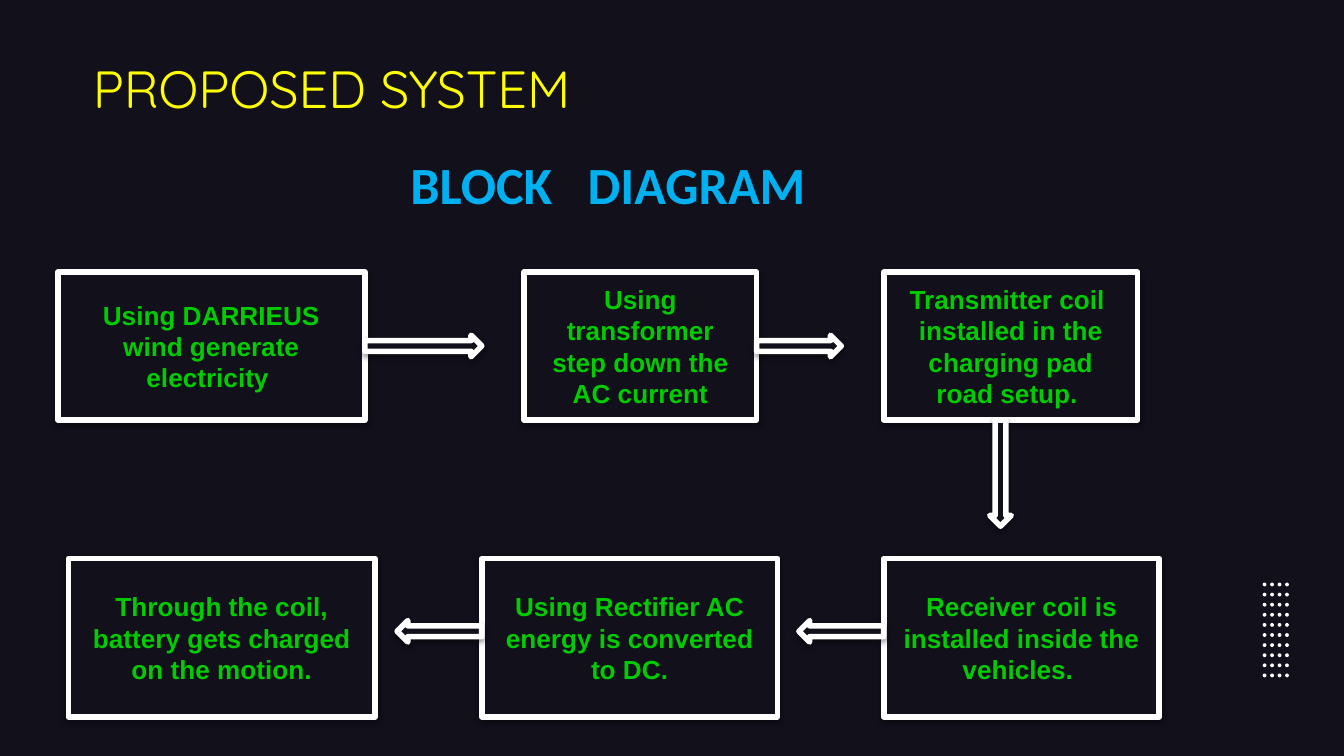
from dataclasses import dataclass
from itertools import product

from lxml import etree
from pptx import Presentation
from pptx.dml.color import RGBColor
from pptx.enum.shapes import MSO_SHAPE
from pptx.enum.text import MSO_ANCHOR, MSO_AUTO_SIZE, PP_ALIGN
from pptx.oxml.ns import qn
from pptx.util import Inches, Pt

RECTANGLE = MSO_SHAPE.RECTANGLE
OVAL = MSO_SHAPE.OVAL
RIGHT_ARROW = MSO_SHAPE.RIGHT_ARROW
LEFT_ARROW = MSO_SHAPE.LEFT_ARROW
DOWN_ARROW = MSO_SHAPE.DOWN_ARROW
TOP = MSO_ANCHOR.TOP
MIDDLE = MSO_ANCHOR.MIDDLE
LEFT = PP_ALIGN.LEFT
CENTER = PP_ALIGN.CENTER
NO_AUTOFIT = MSO_AUTO_SIZE.NONE

COLORS = {
    "background": "11101B",
    "title": "FFFF00",
    "heading": "00B0F0",
    "step": "00CC00",
    "outline": "FFFFFF",
    "shadow": "000000",
}
SLIDE_WIDTH = Inches(10)
SLIDE_HEIGHT = SLIDE_WIDTH * 9 // 16
GRID_COLUMNS = 100
CELL = SLIDE_WIDTH / GRID_COLUMNS
ARROW_THICKNESS = 1.6
TITLE_ONLY = 5


@dataclass
class Box:
    left: float
    top: float
    width: float
    height: float

    def lengths(self):
        return [round(n * CELL) for n in (self.left, self.top, self.width, self.height)]


def color(name):
    return RGBColor.from_string(COLORS[name])


def add_run(paragraph, text, font_name, size, color_name, bold=False):
    run = paragraph.add_run()
    run.text = text
    run.font.name = font_name
    run.font.size = Pt(size)
    run.font.bold = bold
    run.font.color.rgb = color(color_name)
    return run


def set_frame(frame, anchor):
    frame.word_wrap = True
    frame.auto_size = NO_AUTOFIT
    frame.vertical_anchor = anchor


def add_shadow(shape):
    shape.shadow.inherit = False
    effects = shape._element.spPr.find(qn("a:effectLst"))
    shadow = etree.SubElement(
        effects, qn("a:outerShdw"), blurRad=str(Pt(3.1)), dist=str(Pt(1.6)),
        dir="5400000", rotWithShape="0",
    )
    shade = etree.SubElement(shadow, qn("a:srgbClr"), val=COLORS["shadow"])
    etree.SubElement(shade, qn("a:alpha"), val="38000")


def add_outlined(slide, kind, box):
    shape = slide.shapes.add_shape(kind, *box.lengths())
    shape.fill.solid()
    shape.fill.fore_color.rgb = color("background")
    shape.line.color.rgb = color("outline")
    shape.line.width = Pt(3)
    add_shadow(shape)
    return shape


def add_title(slide, box):
    title = slide.shapes.title
    title.left, title.top, title.width, title.height = box.lengths()
    set_frame(title.text_frame, TOP)
    paragraph = title.text_frame.paragraphs[0]
    paragraph.alignment = LEFT
    add_run(paragraph, "PROPOSED SYSTEM", "Quicksand", 28, "title")


def add_heading(slide, box):
    frame = slide.shapes.add_textbox(*box.lengths()).text_frame
    set_frame(frame, TOP)
    for text, spacing in (("BLOCK", 0), (" ", 1260), ("DIAGRAM", 0)):
        run = add_run(frame.paragraphs[0], text, "Calibri", 28, "heading", True)
        run._r.get_or_add_rPr().set("spc", str(spacing))


def add_step(slide, box, *lines):
    frame = add_outlined(slide, RECTANGLE, box).text_frame
    set_frame(frame, MIDDLE)
    for index, line in enumerate(lines):
        paragraph = frame.add_paragraph() if index else frame.paragraphs[0]
        paragraph.alignment = CENTER
        add_run(paragraph, line, "Arial", 14, "step", True)


def add_arrow(slide, kind, box, length, share):
    across = box.left + share * box.width - ARROW_THICKNESS / 2
    down = box.top + share * box.height - ARROW_THICKNESS / 2
    places = {
        RIGHT_ARROW: (box.left + box.width, down, length, ARROW_THICKNESS),
        LEFT_ARROW: (box.left - length, down, length, ARROW_THICKNESS),
        DOWN_ARROW: (across, box.top + box.height, ARROW_THICKNESS, length),
    }
    add_outlined(slide, kind, Box(*places[kind]))


def add_block_diagram(slide, top, bottom):
    top_row = {"top": top, "height": 11}
    bottom_row = {"top": bottom, "height": 11.8}
    turbine = Box(left=4.3, width=22.85, **top_row)
    transformer = Box(left=39, width=17.3, **top_row)
    transmitter = Box(left=65.75, width=18.9, **top_row)
    battery = Box(left=5.1, width=22.8, **bottom_row)
    rectifier = Box(left=35.85, width=22, **bottom_row)
    receiver = Box(left=65.75, width=20.5, **bottom_row)

    add_step(slide, turbine, "Using DARRIEUS wind generate electricity ")
    add_step(slide, transformer, "Using transformer step down the AC current")
    add_step(slide, battery, "Through the coil, battery gets charged on the motion.")
    add_step(slide, rectifier, "Using Rectifier AC energy is converted to DC.")
    add_step(slide, receiver, "Receiver coil is installed inside the vehicles. ")
    add_step(slide, transmitter, "Transmitter coil ", "installed in the charging pad road setup. ")

    for kind, source, length, share in (
        (RIGHT_ARROW, turbine, 8.7, 0.5),
        (RIGHT_ARROW, transformer, 6.3, 0.5),
        (DOWN_ARROW, transmitter, 7.9, 0.46),
        (LEFT_ARROW, receiver, 6.3, 0.46),
        (LEFT_ARROW, rectifier, 6.3, 0.46),
    ):
        add_arrow(slide, kind, source, length, share)


def add_dot_grid(slide, box, columns, rows, diameter):
    group = slide.shapes.add_group_shape()
    column_step = (box.width - diameter) / (columns - 1)
    row_step = (box.height - diameter) / (rows - 1)
    for column, row in product(range(columns), range(rows)):
        place = Box(box.left + column * column_step, box.top + row * row_step, diameter, diameter)
        dot = group.shapes.add_shape(OVAL, *place.lengths())
        dot.shadow.inherit = False
        dot.fill.solid()
        dot.fill.fore_color.rgb = color("outline")
        dot.line.fill.background()


def main():
    presentation = Presentation()
    presentation.slide_width, presentation.slide_height = SLIDE_WIDTH, SLIDE_HEIGHT
    slide = presentation.slides.add_slide(presentation.slide_layouts[TITLE_ONLY])
    slide.background.fill.solid()
    slide.background.fill.fore_color.rgb = color("background")
    add_dot_grid(slide, Box(93.95, 43.35, 1.95, 7.05), columns=4, rows=10, diameter=0.28)
    add_title(slide, Box(5.9, 3.7, 71.7, 10.4))
    add_block_diagram(slide, top=20.25, bottom=41.55)
    add_heading(slide, Box(29.55, 10.8, 40.9, 8.1))
    presentation.save("out.pptx")


if __name__ == "__main__":
    main()
